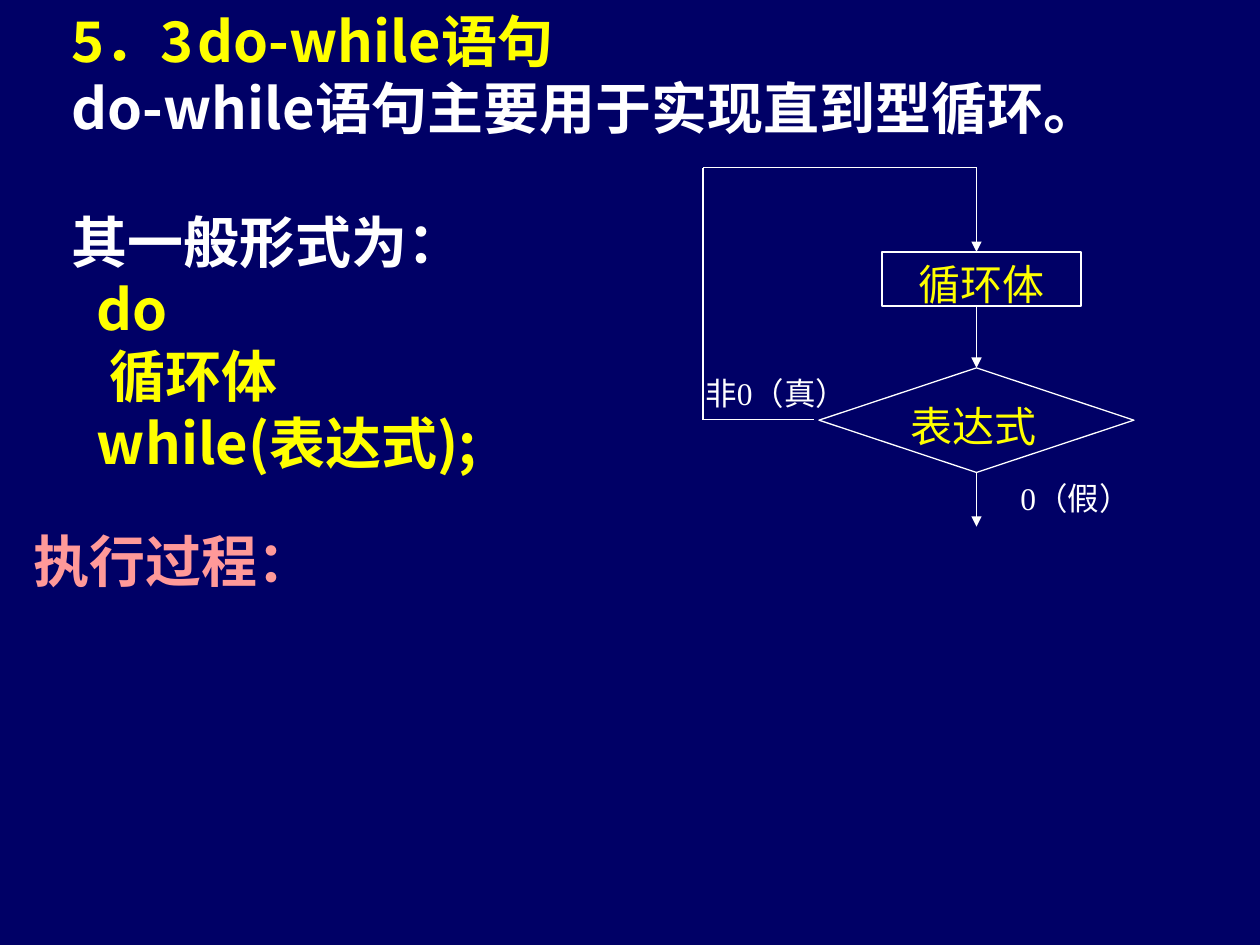
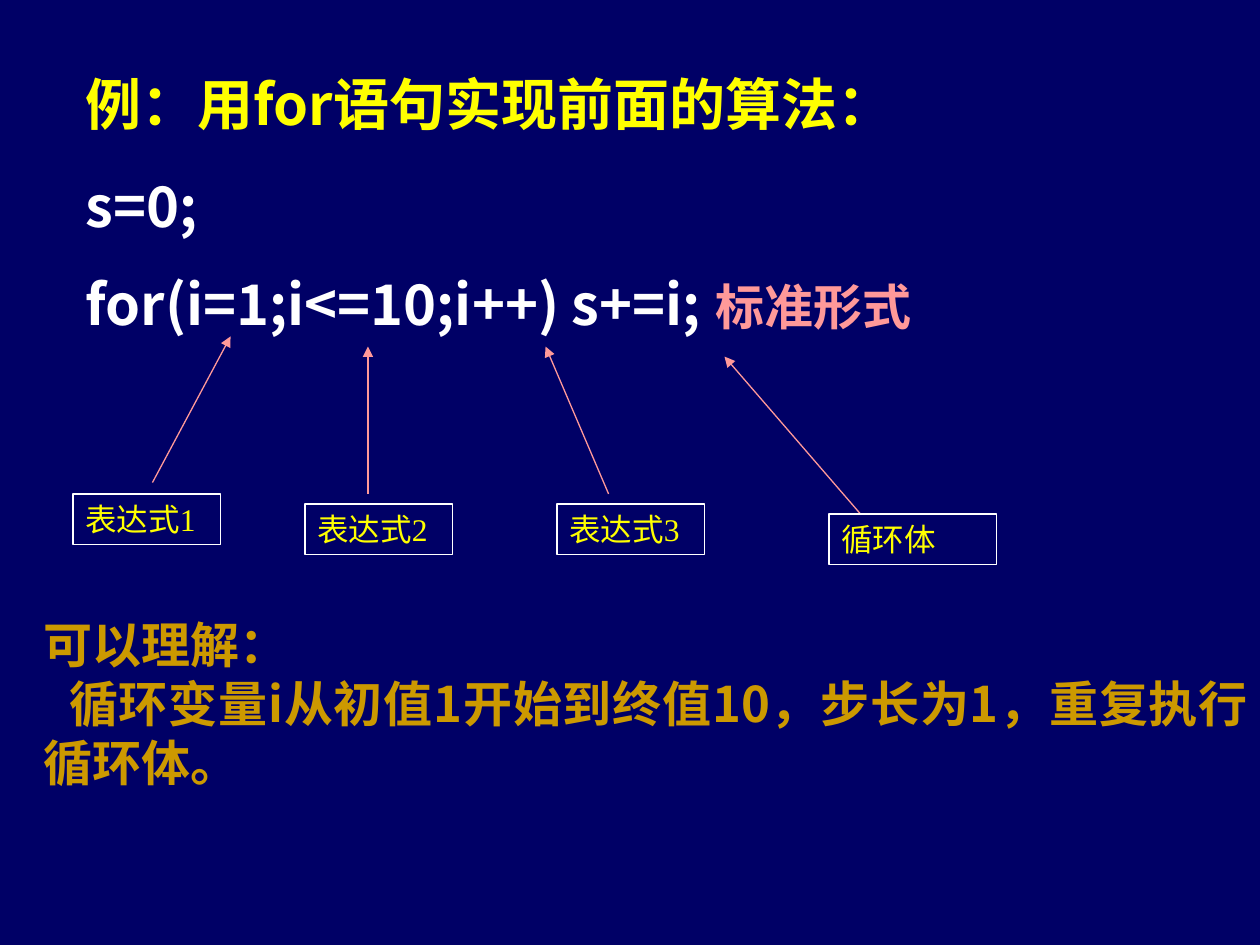
from dataclasses import dataclass

from lxml.etree import SubElement
from pptx import Presentation
from pptx.dml.color import RGBColor
from pptx.enum.shapes import MSO_CONNECTOR, MSO_SHAPE
from pptx.enum.text import MSO_ANCHOR, MSO_AUTO_SIZE, PP_ALIGN
from pptx.oxml.ns import qn
from pptx.util import Inches, Pt


@dataclass(frozen=True)
class Theme:
    navy: str = "000066"
    white: str = "FFFFFF"
    yellow: str = "FFFF00"
    pink: str = "FF9999"
    gold: str = "CC9900"
    sans: str = "Noto Sans CJK SC"
    serif: str = "Times New Roman"
    heading: int = 32
    body: int = 28
    node: int = 24
    label: int = 18
    line: float = 0.75


THEME = Theme()


def color(value):
    return RGBColor.from_string(value)


class Deck:
    def __init__(self, theme):
        self.theme = theme
        self.presentation = Presentation()
        self.presentation.slide_width = Inches(10)
        self.presentation.slide_height = Inches(7.5)
        self.slide = None

    def add_slide(self):
        self.slide = self.presentation.slides.add_slide(self.presentation.slide_layouts[6])
        fill = self.slide.background.fill
        fill.solid()
        fill.fore_color.rgb = color(self.theme.navy)

    def run(self, paragraph, words, size, ink, face, bold=False):
        run = paragraph.add_run()
        run.text = words
        for name, value in {"size": Pt(size), "name": face, "bold": bold}.items():
            setattr(run.font, name, value)
        run.font.color.rgb = color(ink)
        SubElement(run.font._element, qn("a:ea"), typeface=self.theme.sans)

    def frame(self, shape, grow):
        frame = shape.text_frame
        settings = {
            "word_wrap": True,
            "vertical_anchor": MSO_ANCHOR.TOP,
            "auto_size": MSO_AUTO_SIZE.SHAPE_TO_FIT_TEXT if grow else MSO_AUTO_SIZE.NONE,
        }
        for name, value in settings.items():
            setattr(frame, name, value)
        return frame

    def text(self, place):
        """Add an empty bold text block, to be filled with paragraph()."""
        return self.frame(self.slide.shapes.add_textbox(*map(Inches, place)), grow=True)

    def paragraph(self, frame, *runs, indent=0, first=0, before=0, tab=None,
                  align=PP_ALIGN.JUSTIFY):
        """Fill the next paragraph with (words, colour, size) runs."""
        started = bool(frame.paragraphs[0].runs)
        paragraph = frame.add_paragraph() if started else frame.paragraphs[0]
        paragraph.alignment = align
        paragraph.space_before = Pt(before)
        properties = paragraph._p.get_or_add_pPr()
        properties.set("marL", str(Inches(indent)))
        properties.set("indent", str(Inches(first)))
        if tab is not None:
            stops = SubElement(properties, qn("a:tabLst"))
            SubElement(stops, qn("a:tab"), pos=str(Inches(tab)), algn="l")
        for words, ink, size in runs:
            self.run(paragraph, words, size, ink, self.theme.sans, bold=True)

    def box(self, place, words, size, ink, border, kind=MSO_SHAPE.RECTANGLE,
            align=PP_ALIGN.JUSTIFY, filled=True, grow=False):
        shape = self.slide.shapes.add_shape(kind, *map(Inches, place))
        shape.shadow.inherit = False
        if filled:
            shape.fill.solid()
            shape.fill.fore_color.rgb = color(self.theme.navy)
        else:
            shape.fill.background()
        shape.line.color.rgb = color(border)
        shape.line.width = Pt(self.theme.line)
        paragraph = self.frame(shape, grow).paragraphs[0]
        paragraph.alignment = align
        self.run(paragraph, words, size, ink, self.theme.serif)

    def line(self, start, end, ink, arrow=False):
        connector = self.slide.shapes.add_connector(
            MSO_CONNECTOR.STRAIGHT, *map(Inches, (*start, *end)))
        connector.line.color.rgb = color(ink)
        connector.line.width = Pt(self.theme.line)
        if arrow:
            SubElement(connector.line._get_or_add_ln(), qn("a:tailEnd"), type="triangle")
        SubElement(connector._element.spPr, qn("a:effectLst"))


def add_do_while(deck):
    theme = deck.theme
    deck.add_slide()

    for place, words in (((5.5, 2.92, 1.58, 0.33), "非0（真）"),
                         ((8, 3.75, 1.25, 0.5), "0（假）")):
        deck.box(place, words, theme.label, theme.white, theme.navy)
    deck.box((6.5, 2.92, 2.5, 0.83), "表达式", theme.node, theme.yellow, theme.white,
             kind=MSO_SHAPE.FLOWCHART_DECISION)
    deck.box((7, 2, 1.58, 0.43), "循环体", theme.node, theme.yellow, theme.white,
             align=PP_ALIGN.CENTER)

    axis, top = 7.75, 1.33
    loop_back = [(6.46, 3.33), (5.58, 3.33), (5.58, top), (axis, top)]
    for start, end in zip(loop_back, loop_back[1:]):
        deck.line(start, end, theme.white)
    for start, end in ((3.75, 4.18), (top, 2), (2.42, 2.92)):
        deck.line((axis, start), (axis, end), theme.white, arrow=True)

    syntax = deck.text((0.17, 0, 9.75, 7.44))
    deck.paragraph(syntax, ("5．3\tdo-while语句", theme.yellow, theme.heading),
                   indent=0.3, tab=1.7, align=PP_ALIGN.LEFT)
    for words, ink, indent, before in (
            ("do-while语句主要用于实现直到型循环。", theme.white, 0.3, 0),
            ("其一般形式为：", theme.white, 0.3, 38),
            ("do", theme.yellow, 0.5, 0),
            ("循环体", theme.yellow, 0.6, 0),
            ("while(表达式);", theme.yellow, 0.5, 0),
            ("执行过程：", theme.pink, 0, 29)):
        deck.paragraph(syntax, (words, ink, theme.heading), indent=indent, before=before)


def add_for_example(deck):
    theme = deck.theme
    deck.add_slide()

    example = deck.text((0.58, 0.5, 9.08, 2.22))
    deck.paragraph(example, ("例：用for语句实现前面的算法：", theme.yellow, theme.heading),
                   align=PP_ALIGN.LEFT)
    deck.paragraph(example, ("s=0;", theme.white, theme.heading),
                   before=20, align=PP_ALIGN.LEFT)
    deck.paragraph(example, ("for(i=1;i<=10;i++) s+=i;\t", theme.white, theme.heading),
                   ("标准形式", theme.pink, theme.body),
                   before=17.5, tab=5.5, align=PP_ALIGN.LEFT)

    for words, left, top, width, start, end in (
            ("表达式1", 0.58, 3.92, 1.17, (1.21, 3.83), (1.83, 2.67)),
            ("表达式2", 2.42, 4, 1.17, (2.92, 3.92), (2.92, 2.75)),
            ("表达式3", 4.42, 4, 1.17, (4.83, 3.92), (4.33, 2.75)),
            ("循环体", 6.58, 4.08, 1.33, (6.83, 4.08), (5.75, 2.83))):
        deck.line(start, end, theme.pink, arrow=True)
        deck.box((left, top, width, 0.4), words, theme.label, theme.yellow, theme.white,
                 align=PP_ALIGN.LEFT, filled=False, grow=True)

    meaning = deck.text((0.25, 4.83, 9.75, 1.97))
    for words, first in (
            ("可以理解：", 0),
            ("循环变量i从初值1开始到终值10，步长为1，重复执行循环体。", 0.2)):
        deck.paragraph(meaning, (words, theme.gold, theme.body), first=first)


def main():
    deck = Deck(THEME)
    add_do_while(deck)
    add_for_example(deck)
    deck.presentation.save("out.pptx")


if __name__ == "__main__":
    main()
